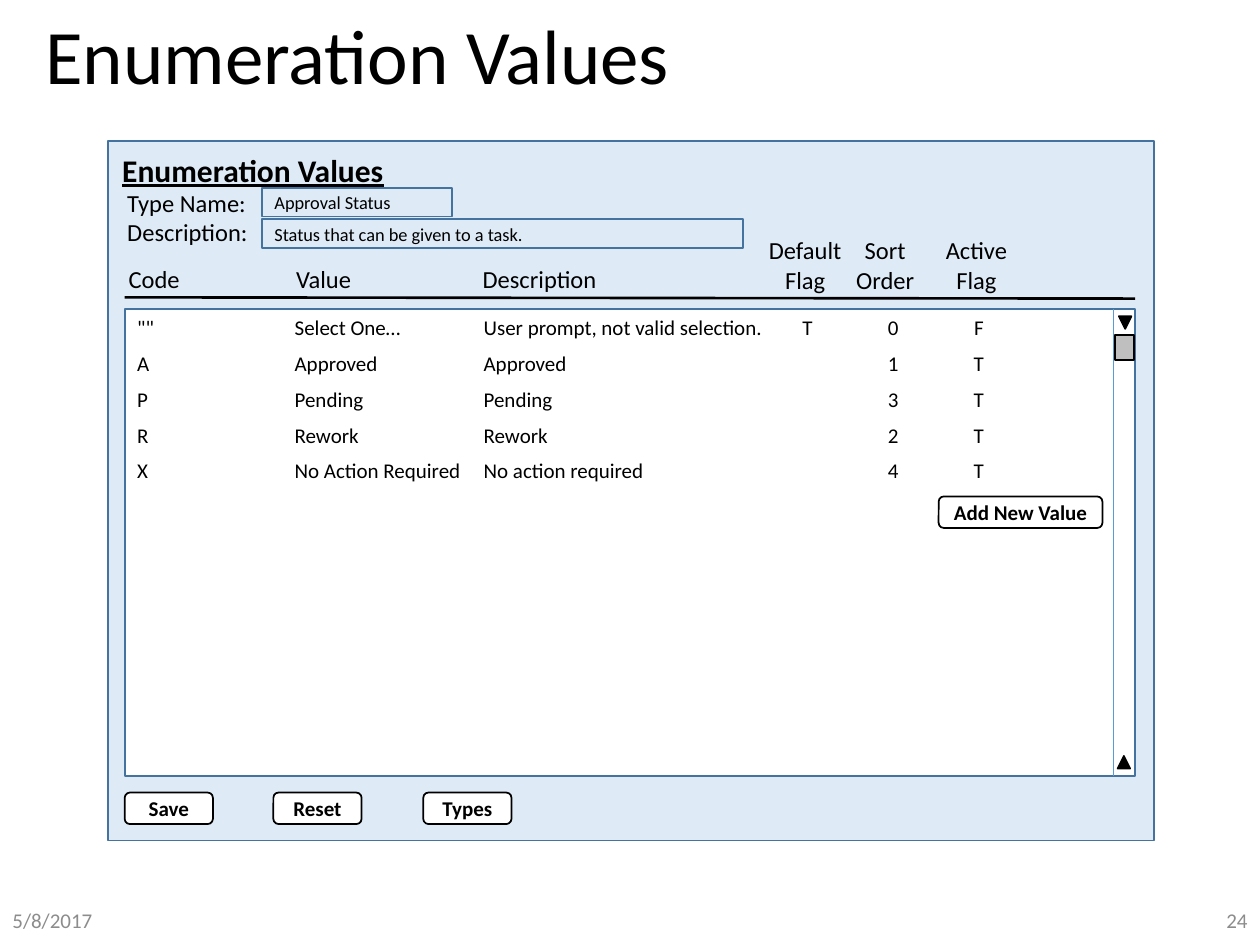
import pptx
import pptx.util
import pptx.dml.color
import pptx.enum.shapes
import pptx.enum.text
import pptx.oxml.ns
import lxml.etree

RGBColor = pptx.dml.color.RGBColor
SHAPE = pptx.enum.shapes.MSO_SHAPE
ALIGN = pptx.enum.text.PP_ALIGN
ANCHOR = pptx.enum.text.MSO_ANCHOR
AUTO_SIZE = pptx.enum.text.MSO_AUTO_SIZE

BLACK = RGBColor(0x00, 0x00, 0x00)
WHITE = RGBColor(0xFF, 0xFF, 0xFF)
GRAY = RGBColor(0x8C, 0x8C, 0x8C)
THUMB = RGBColor(0xBF, 0xBF, 0xBF)
PANEL = RGBColor(0xDE, 0xEB, 0xF7)
BORDER = RGBColor(0x43, 0x73, 0x9E)
BLUE = RGBColor(0x5B, 0x9B, 0xD5)

PX = 9144  # EMU per px, 100 px to the inch

deck = pptx.Presentation()
deck.slide_width = 1000 * PX
deck.slide_height = 750 * PX
page = deck.slides.add_slide(deck.slide_layouts[5])


def write(box, text, size, color=BLACK, align=ALIGN.LEFT, anchor=ANCHOR.MIDDLE, bold=False):
    frame = box.text_frame
    frame.text = text
    frame.word_wrap = True
    frame.vertical_anchor = anchor
    for para in frame.paragraphs:
        para.alignment = align
        for span in para.runs:
            span.font.name = "Calibri"
            span.font.size = pptx.util.Pt(size)
            span.font.bold = bold
            span.font.color.rgb = color
    return frame


def draw(kind, left, top, width, height, fill, line=BLACK):
    shape = page.shapes.add_shape(kind, left * PX, top * PX, width * PX, height * PX)
    shape.shadow.inherit = False
    if fill is None:
        shape.fill.background()
    else:
        shape.fill.solid()
        shape.fill.fore_color.rgb = fill
    shape.line.color.rgb = line
    shape.line.width = pptx.util.Pt(1)
    return shape


# Title
title = page.shapes.title
title.left, title.top, title.width, title.height = 26 * PX, 9 * PX, 950 * PX, 76 * PX
title_frame = write(title, "Enumeration Values", 44)
title_frame.auto_size = AUTO_SIZE.NONE
title_frame.paragraphs[0].line_spacing = 0.9

# Date and page number
for text, left, align in [("5/8/2017", 0, ALIGN.LEFT), ("24", 775, ALIGN.RIGHT)]:
    footer = page.shapes.add_textbox(left * PX, 710 * PX, 225 * PX, 40 * PX)
    write(footer, text, 12, GRAY, align)

# Window panel and value list
draw(SHAPE.RECTANGLE, 86, 112, 830, 555, PANEL, BORDER)
value_list = draw(SHAPE.RECTANGLE, 99, 245, 802, 371, WHITE, BORDER)
rows = [
    ('""', "Select One…", "User prompt, not valid selection.", "T", "0", "F"),
    ("A", "Approved", "Approved", "", "1", "T"),
    ("P", "Pending", "Pending", "", "3", "T"),
    ("R", "Rework", "Rework", "", "2", "T"),
    ("X", "No Action Required", "No action required", "", "4", "T"),
]
tab_stops = [(125, "l"), (275, "l"), (532, "ctr"), (600, "ctr"), (668, "ctr")]
list_text = "\n".join("\t".join(row) for row in rows)
list_frame = write(value_list, list_text, 12, anchor=ANCHOR.TOP)
for para in list_frame.paragraphs:
    para.space_after = pptx.util.Pt(6)
    properties = para._p.get_or_add_pPr()
    tabs = lxml.etree.SubElement(properties, pptx.oxml.ns.qn("a:tabLst"))
    for position, side in tab_stops:
        lxml.etree.SubElement(tabs, pptx.oxml.ns.qn("a:tab"), pos=str(position * PX), algn=side)

# Labels and column headings
labels = [
    ("Enumeration Values", 92, 115, 219, 40, 18, ALIGN.LEFT),
    ("Type Name:\nDescription:", 96, 144, 111, 57, 14, ALIGN.LEFT),
    ("Code", 97, 205, 51, 34, 14, ALIGN.LEFT),
    ("Value", 230, 205, 54, 34, 14, ALIGN.LEFT),
    ("Description", 378, 205, 102, 34, 14, ALIGN.LEFT),
    ("Default\nFlag", 605, 182, 68, 57, 14, ALIGN.CENTER),
    ("Sort\nOrder", 674, 182, 57, 57, 14, ALIGN.CENTER),
    ("Active\nFlag", 745, 182, 60, 57, 14, ALIGN.CENTER),
]
for text, left, top, width, height, size, align in labels:
    label = page.shapes.add_textbox(left * PX, top * PX, width * PX, height * PX)
    is_heading = size == 18
    frame = write(label, text, size, align=align, anchor=ANCHOR.TOP, bold=is_heading)
    frame.margin_left = frame.margin_right = 5 * PX
    frame.margin_top = frame.margin_bottom = 5 * PX
    frame.word_wrap = False
    frame.auto_size = AUTO_SIZE.SHAPE_TO_FIT_TEXT
    if is_heading:
        frame.paragraphs[0].runs[0].font.underline = True

# Entry fields
fields = [("Approval Status", 149, 151), ("Status that can be given to a task.", 174, 382)]
for text, top, width in fields:
    field = draw(SHAPE.RECTANGLE, 208, top, width, 23, None, BORDER)
    write(field, text, 10.5)

# Scroll bar
draw(SHAPE.ISOSCELES_TRIANGLE, 887, 600, 10, 10, BLACK)
draw(SHAPE.ISOSCELES_TRIANGLE, 888, 251, 10, 10, BLACK).rotation = 180
draw(SHAPE.FLOWCHART_PROCESS, 885, 266, 15, 20, THUMB)

# Heading rule and scroll bar edge
lines = [(99, 236, 901, 237, BLACK, 1.5), (884, 245, 884, 616, BLUE, 0.5)]
for x1, y1, x2, y2, color, weight in lines:
    rule = page.shapes.add_connector(
        pptx.enum.shapes.MSO_CONNECTOR.STRAIGHT, x1 * PX, y1 * PX, x2 * PX, y2 * PX)
    rule.line.color.rgb = color
    rule.line.width = pptx.util.Pt(weight)
    lxml.etree.SubElement(rule._element.spPr, pptx.oxml.ns.qn("a:effectLst"))

# Buttons
buttons = [
    ("Save", 99, 629, 70),
    ("Reset", 217, 629, 70),
    ("Types", 336, 629, 70),
    ("Add New Value", 745, 394, 130),
]
for text, left, top, width in buttons:
    button = draw(SHAPE.ROUNDED_RECTANGLE, left, top, width, 25, WHITE)
    write(button, text, 12, align=ALIGN.CENTER, bold=True)

deck.save("out.pptx")
